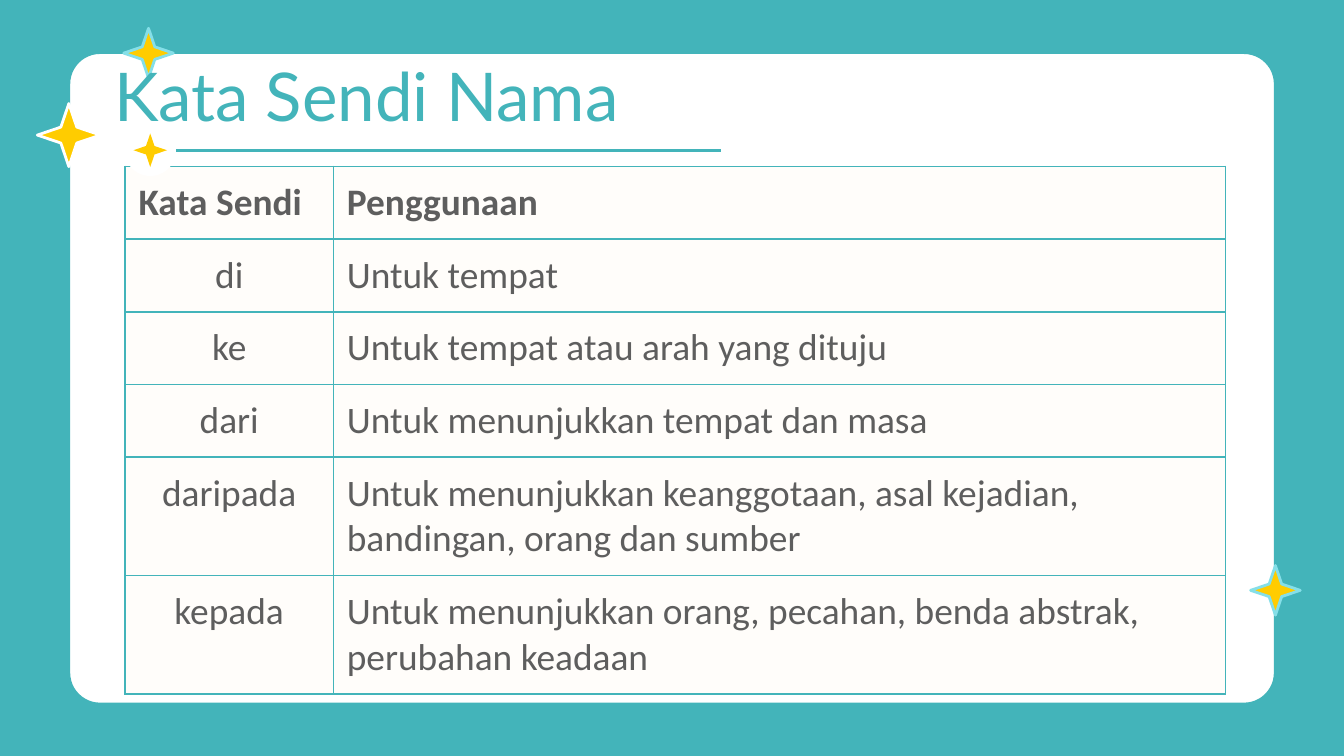
from lxml import etree
from pptx import Presentation
from pptx import util as u
from pptx.dml.color import RGBColor
from pptx.enum import shapes, text
from pptx.oxml import ns

TEAL = RGBColor(0x43, 0xB4, 0xBA)
AQUA = RGBColor(0x85, 0xDF, 0xE8)
GOLD = RGBColor(0xFF, 0xCC, 0x00)
WHITE = RGBColor(0xFF, 0xFF, 0xFF)
CREAM = RGBColor(0xFF, 0xFD, 0xFA)
GREY = RGBColor(0x5E, 0x5E, 0x5E)
INSET = u.Pt(7.2)


class SlideBuilder:
    line_width = u.Pt(1.5)

    def __init__(self, slide):
        self.slide = slide
        slide.background.fill.solid()
        slide.background.fill.fore_color.rgb = TEAL

    def shape(self, kind, left, top, width, height, fill, outline=None, adjust=None):
        item = self.slide.shapes.add_shape(
            kind, u.Pt(left), u.Pt(top), u.Pt(width), u.Pt(height))
        item.shadow.inherit = False
        item.fill.solid()
        item.fill.fore_color.rgb = fill
        if outline is None:
            item.line.fill.background()
        else:
            item.line.color.rgb = outline
            item.line.width = self.line_width
        if adjust is not None:
            item.adjustments[0] = adjust

    def star(self, left, top, size, outline=None):
        self.shape(shapes.MSO_SHAPE.STAR_4_POINT, left, top, size, size,
                   GOLD, outline, 0.179)

    def rule(self, left, right, y):
        rule = self.slide.shapes.add_connector(
            shapes.MSO_CONNECTOR.STRAIGHT, u.Pt(left), u.Pt(y), u.Pt(right), u.Pt(y))
        rule.line.color.rgb = TEAL
        rule.line.width = self.line_width
        etree.SubElement(rule._element.spPr, ns.qn("a:effectLst"))

    def set_text(self, paragraph, words, font, size, color, bold=False):
        paragraph.text = words
        paragraph.font.name = font
        paragraph.font.size = u.Pt(size)
        paragraph.font.bold = bold
        paragraph.font.color.rgb = color

    def title(self, words, left, top, width, height):
        frame = self.slide.shapes.add_textbox(
            u.Pt(left), u.Pt(top), u.Pt(width), u.Pt(height)).text_frame
        frame.word_wrap = True
        frame.vertical_anchor = text.MSO_ANCHOR.BOTTOM
        frame.margin_left = frame.margin_right = INSET
        frame.margin_top = frame.margin_bottom = INSET
        self.set_text(frame.paragraphs[0], words, "Lato", 36, TEAL)

    def border(self, cell):
        properties = cell._tc.get_or_add_tcPr()
        for position, side in enumerate(("lnL", "lnR", "lnT", "lnB")):
            edge = etree.Element(ns.qn(f"a:{side}"), w=str(u.Pt(1)))
            fill = etree.SubElement(edge, ns.qn("a:solidFill"))
            etree.SubElement(fill, ns.qn("a:srgbClr"), val=str(TEAL))
            properties.insert(position, edge)

    def table(self, rows, left, top, widths, heights):
        table = self.slide.shapes.add_table(
            len(rows), len(widths), u.Pt(left), u.Pt(top),
            u.Pt(sum(widths)), u.Pt(sum(heights))).table
        for column, width in zip(table.columns, widths):
            column.width = u.Pt(width)
        for r, (row, height) in enumerate(zip(rows, heights)):
            table.rows[r].height = u.Pt(height)
            for c, words in enumerate(row):
                cell = table.cell(r, c)
                cell.margin_left = cell.margin_right = INSET
                cell.margin_top = cell.margin_bottom = INSET
                cell.fill.solid()
                cell.fill.fore_color.rgb = CREAM
                self.border(cell)
                paragraph = cell.text_frame.paragraphs[0]
                self.set_text(paragraph, words, "Calibri", 20, GREY, bold=r == 0)
                if r > 0 and c == 0:
                    paragraph.alignment = text.PP_ALIGN.CENTER
        table.cell(0, 0).vertical_anchor = text.MSO_ANCHOR.MIDDLE


PREPOSITIONS = [
    ("Kata Sendi", "Penggunaan"),
    ("di", "Untuk tempat"),
    ("ke", "Untuk tempat atau arah yang dituju"),
    ("dari", "Untuk menunjukkan tempat dan masa"),
    ("daripada", "Untuk menunjukkan keanggotaan, asal kejadian, bandingan, orang dan sumber"),
    ("kepada", "Untuk menunjukkan orang, pecahan, benda abstrak, perubahan keadaan"),
]


def main():
    deck = Presentation()
    deck.slide_width, deck.slide_height = u.Pt(720), u.Pt(405)
    page = SlideBuilder(deck.slides.add_slide(deck.slide_layouts[6]))

    page.shape(shapes.MSO_SHAPE.ROUNDED_RECTANGLE, 36.9, 28.2, 646.3, 349, WHITE, TEAL, 0.048)
    page.star(66.3, 15.2, 26.6, AQUA)
    page.star(670, 303, 26.6, AQUA)
    page.table(PREPOSITIONS, 67, 89.2, [111.6, 478], [34.5] * 4 + [56] * 2)
    page.title("Kata Sendi Nama", 54, 21, 436, 58.3)
    page.rule(89.3, 386, 80.6)
    page.shape(shapes.MSO_SHAPE.OVAL, 66.8, 66.9, 27.4, 27.4, WHITE)
    page.star(71.5, 71.5, 18)
    page.star(20, 55.5, 33.8, WHITE)

    deck.save("out.pptx")


if __name__ == "__main__":
    main()
